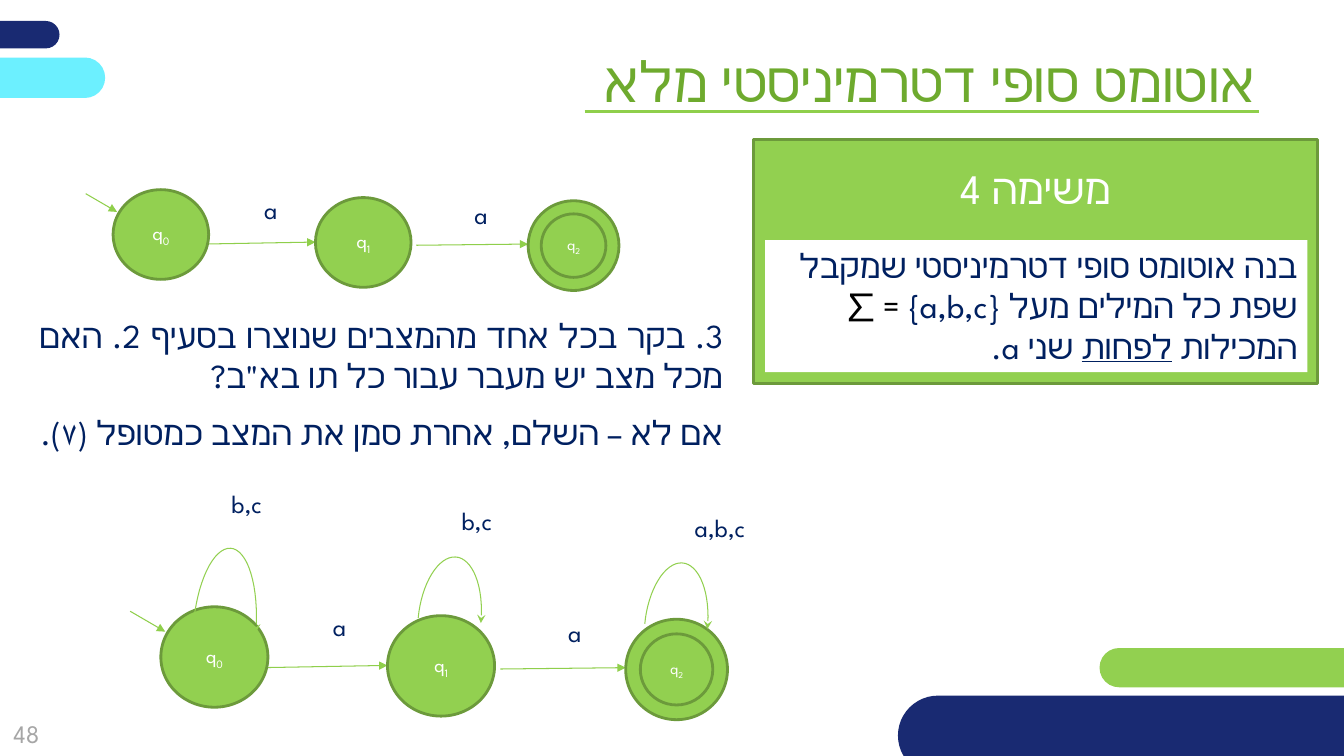
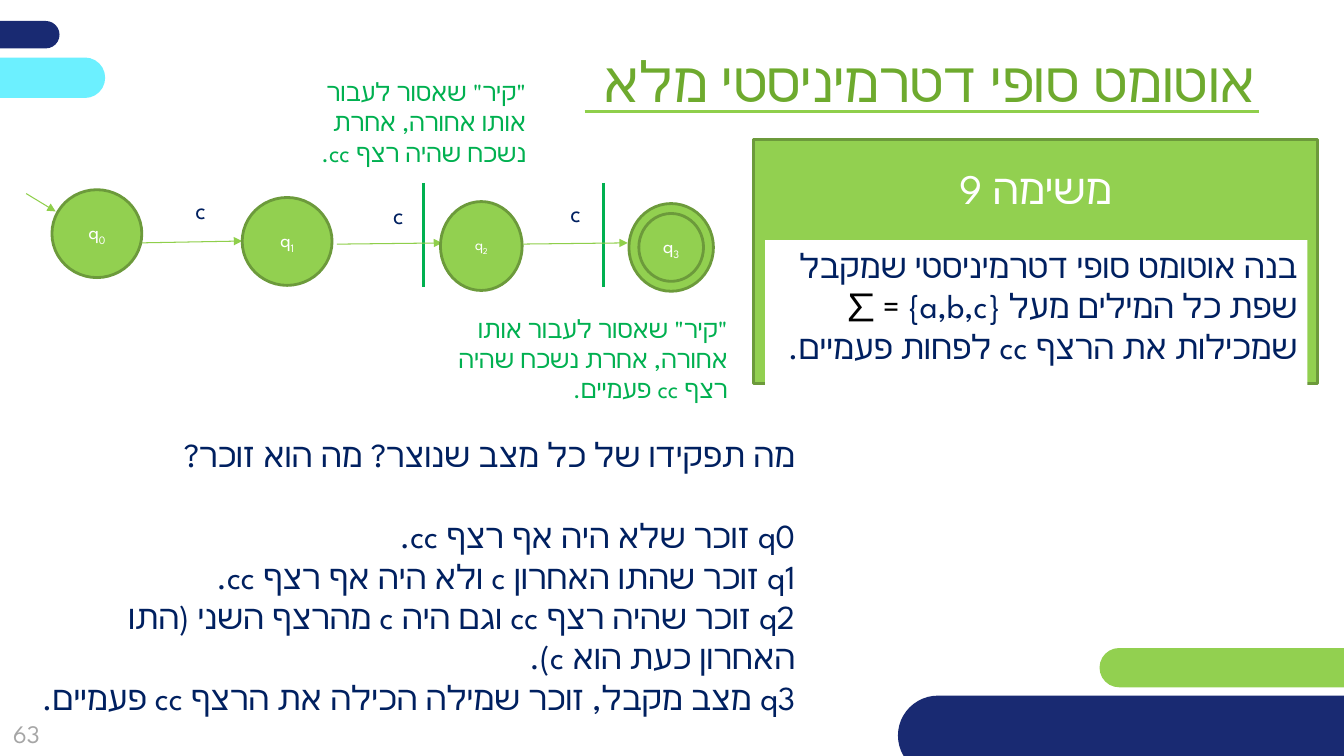
from math import cos, pi, sin

from lxml import etree
from pptx import Presentation
from pptx.dml.color import RGBColor
from pptx.enum import shapes, text
from pptx.oxml import ns
from pptx.util import Cm, Pt

FONT = "League Spartan"
NAVY = RGBColor(0x19, 0x2A, 0x72)
CYAN = RGBColor(0x6C, 0xF0, 0xFF)
LIME = RGBColor(0x92, 0xD0, 0x50)
EDGE = RGBColor(0x6C, 0x9A, 0x3B)
LINE = RGBColor(0x8F, 0xCF, 0x4B)
HEAD = RGBColor(0x6E, 0xAA, 0x2E)
WALL = RGBColor(0x00, 0xB0, 0x50)
INK = RGBColor(0x00, 0x20, 0x60)
GREY = RGBColor(0xA6, 0xA6, 0xA6)
BLACK = RGBColor(0, 0, 0)
WHITE = RGBColor(0xFF, 0xFF, 0xFF)

RECT = shapes.MSO_SHAPE.RECTANGLE
OVAL = shapes.MSO_SHAPE.OVAL
PILL = shapes.MSO_SHAPE.ROUNDED_RECTANGLE
TOP = text.MSO_ANCHOR.TOP
MIDDLE = text.MSO_ANCHOR.MIDDLE
RIGHT = text.PP_ALIGN.RIGHT
CENTER = text.PP_ALIGN.CENTER
JUSTIFY = text.PP_ALIGN.JUSTIFY

TITLE = "אוטומט סופי דטרמיניסטי מלא"
BANDS = [
    (-6.76, 0.53, 8.26, 0.69, NAVY),
    (27.71, 16.33, 13.23, 0.99, LIME),
    (-5.61, 1.45, 8.26, 1.02, CYAN),
    (22.63, 17.53, 14.38, 2.01, NAVY),
]


def add_tag(parent, name, **attrs):
    return etree.SubElement(parent, ns.qn(name), attrs)


class Deck:
    """House style and the slide being filled; all lengths are in cm."""

    def __init__(self):
        self.show = Presentation()
        self.show.slide_width = Cm(33.87)
        self.show.slide_height = Cm(19.05)

    def page(self, number):
        """Start a slide with its bands, page number and title."""
        self.slide = self.show.slides.add_slide(self.show.slide_layouts[6])
        for x, y, w, h, hue in BANDS:
            self.shape(PILL, x, y, w, h, hue).adjustments[0] = 0.5
        self.label(-0.46, 17.75, 2.26, 1.45, [[str(number)]], 18, GREY,
                   CENTER, MIDDLE, rtl=False)
        self.line(14.73, 2.82, 31.72, 2.82, width=2.25)
        self.label(11.18, 1.04, 20.73, 1.96, [[TITLE]], 40, HEAD)

    def set_text(self, frame, paras, size, hue, align=RIGHT, anchor=TOP,
                 rtl=True):
        """Fill a frame with paragraphs, each a list of run texts."""
        frame.word_wrap = True
        frame.vertical_anchor = anchor
        for i, parts in enumerate(paras):
            para = frame.add_paragraph() if i else frame.paragraphs[0]
            para.alignment = align
            if rtl:
                para._p.get_or_add_pPr().set("rtl", "1")
            for part in parts:
                run = para.add_run()
                run.text = part
                run.font.name = FONT
                run.font.size = Pt(size)
                run.font.color.rgb = hue
                add_tag(run._r.get_or_add_rPr(), "a:cs", typeface=FONT)
        return frame.paragraphs

    def label(self, x, y, w, h, paras, size=18, hue=INK, align=RIGHT,
              anchor=TOP, rtl=True):
        box = self.slide.shapes.add_textbox(Cm(x), Cm(y), Cm(w), Cm(h))
        return self.set_text(box.text_frame, paras, size, hue, align, anchor,
                             rtl)

    def shape(self, kind, x, y, w, h, hue, edge=None):
        item = self.slide.shapes.add_shape(kind, Cm(x), Cm(y), Cm(w), Cm(h))
        item.shadow.inherit = False
        item.fill.solid()
        item.fill.fore_color.rgb = hue
        if edge is None:
            item.line.fill.background()
        else:
            item.line.color.rgb = edge
            item.line.width = Pt(2)
        return item

    def line(self, x1, y1, x2, y2, hue=LINE, width=0.75, tip=None):
        item = self.slide.shapes.add_connector(
            shapes.MSO_CONNECTOR.STRAIGHT, Cm(x1), Cm(y1), Cm(x2), Cm(y2))
        self.pen(item, hue, width, tip)
        add_tag(item._element.spPr, "a:effectLst")

    def pen(self, item, hue, width, tip):
        item.line.color.rgb = hue
        item.line.width = Pt(width)
        if tip:
            add_tag(item.line._get_or_add_ln(), "a:tailEnd", type=tip)

    def loop(self, x, y, rise):
        """Draw an arrow from a state to itself, its tip at x, y."""
        steps = 32
        dots = []
        for i in range(steps + 1):
            turn = pi * (1 - i / steps)
            dots.append((Cm(x - 0.79 * (1 - cos(turn)) + 0.15 * sin(turn)),
                         Cm(y - rise * sin(turn) - 0.13 * turn / pi)))
        curve = self.slide.shapes.build_freeform(*dots[0])
        curve.add_line_segments(dots[1:], close=False)
        item = curve.convert_to_shape()
        item.shadow.inherit = False
        item.fill.background()
        self.pen(item, LIME, 0.75, "stealth")

    def state(self, x, y, w, h, index, size=14, ring=0):
        """Draw a state; a ring width makes it an accepting one."""
        if ring:
            self.shape(OVAL, x, y, w, h, LIME, EDGE)
        disc = self.shape(OVAL, x + ring, y + ring, w - 2 * ring,
                          h - 2 * ring, LIME, EDGE)
        paras = self.set_text(disc.text_frame, [["q", str(index)]], size,
                              WHITE, CENTER, MIDDLE)
        disc.text_frame.word_wrap = False
        paras[0].runs[1].font._element.set("baseline", "-25000")

    def chain(self, x, y, sx, sy, mark):
        """Draw q0, q1 and the arrows up to q2, scaled by sx and sy."""
        for x1, y1, x2, y2 in [(0, 0.1, 0.79, 0.56),
                               (2.95, 1.37, 5.79, 1.32),
                               (8.33, 1.4, 11.15, 1.37)]:
            self.line(x + x1 * sx, y + y1 * sy, x + x2 * sx, y + y2 * sy,
                      tip="triangle")
        for index, (dx, dy) in enumerate([(0.69, 0), (5.79, 0.2)]):
            self.state(x + dx * sx, y + dy * sy, 2.41 * sx, 2.26 * sy, index)
        for dx, dy, w in [(3.94, 0, 1.14), (8.86, 0.13, 1.52)]:
            self.label(x + dx * sx, y + dy * sy, w * sx, 1.3 * sy, [[mark]])

    def task(self, number, goal, h):
        """Draw the task card; goal lists the runs after the alphabet."""
        card = self.shape(RECT, 19, 3.51, 14.2, 6.15, LIME, EDGE)
        self.set_text(card.text_frame, [[f"משימה {number}"]], 30, WHITE, CENTER)
        card.text_frame.margin_top = Cm(0.58)
        note = self.shape(RECT, 19.28, 6.05, 13.67, h, WHITE)
        start = "בנה אוטומט סופי דטרמיניסטי שמקבל שפת כל המילים מעל {a,b,c} "
        runs = self.set_text(note.text_frame, [[start, "= ∑ ", *goal]],
                             24, INK)[0].runs
        runs[1].font.color.rgb = BLACK
        return runs


def complete(deck):
    """Slide on completing the missing transitions."""
    deck.page(48)
    runs = deck.task(4, ["המכילות ", "לפחות", " שני a."], 3.33)
    runs[3].font.underline = True
    for x, y, s in [(2.16, 4.78, 1), (3.28, 15.29, 1.12)]:
        deck.chain(x, y, s, s, "a")
        deck.state(x + 11.15 * s, y + 0.28 * s, 2.29 * s, 2.26 * s, 2, 11,
                   0.33 * s)
    paras = deck.label(0.74, 7.8, 17.73, 4.78, [
        ["3. בקר בכל אחד מהמצבים שנוצרו בסעיף 2. האם מכל מצב יש מעבר עבור כל תו בא\"ב?"],
        ["אם לא – השלם, אחרת סמן את המצב כמטופל (٧)."],
    ], 24, INK, JUSTIFY)
    for para in paras:
        para.space_after = Pt(12)
    for x, y, rise in [(6.45, 15.93, 2.05), (12.12, 15.7, 1.6),
                       (17.83, 15.85, 1.6)]:
        deck.loop(x, y, rise)
    for x, y, w, mark in [(4.67, 12.19, 2.18, "b,c"), (9.42, 12.62, 3.23, "b,c"),
                          (15.8, 12.78, 3.23, "a,b,c")]:
        deck.label(x, y, w, 1.45, [[mark]])


def recall(deck):
    """Slide on what each state remembers."""
    deck.page(63)
    deck.task(9, ["שמכילות את הרצף cc לפחות פעמיים."], 4.37)
    paras = deck.label(0.6, 10.82, 19.69, 8.2, [
        ["מה תפקידו של כל מצב שנוצר? מה הוא זוכר?"],
        ["q0 זוכר שלא היה אף רצף cc."],
        ["q1 זוכר שהתו האחרון c ולא היה אף רצף cc."],
        ["q2 זוכר שהיה רצף cc וגם היה c מהרצף השני (התו האחרון כעת הוא c)."],
        ["q3 מצב מקבל, זוכר שמילה הכילה את הרצף cc פעמיים."],
    ], 24)
    paras[1].space_before = Pt(29)
    wall = "\"קיר\" שאסור לעבור אותו אחורה, אחרת נשכח שהיה רצף cc"
    deck.label(7.34, 1.8, 6.17, 2.57, [[wall + "."]], hue=WALL)
    deck.label(10.87, 7.77, 7.72, 2.57, [[wall + " פעמיים."]], hue=WALL)
    for x in (10.67, 15.21):
        deck.line(x, 4.61, x, 7.24, WALL, 2.25)
    deck.chain(0.66, 4.78, 0.94, 0.98, "c")
    deck.state(11.1, 5.08, 2.06, 2.24, 2, 11)
    deck.state(15.85, 5.13, 2.13, 2.21, 3, ring=0.25)
    deck.line(13.18, 6.15, 15.82, 6.12, tip="triangle")
    deck.label(13.16, 4.85, 1.73, 1.27, [["c"]])


def main():
    deck = Deck()
    complete(deck)
    recall(deck)
    deck.show.save("out.pptx")


if __name__ == "__main__":
    main()
